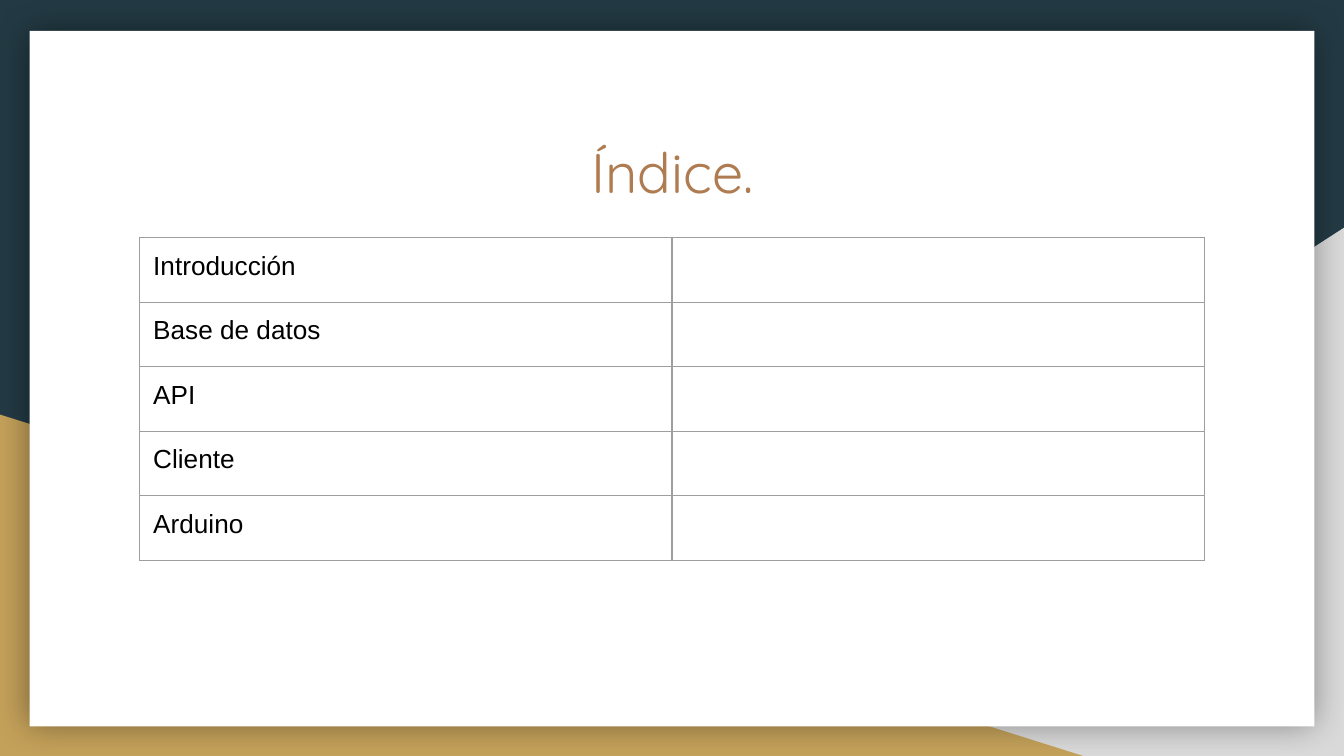
from lxml import etree
from pptx import Presentation
from pptx import util as u
from pptx.dml.color import RGBColor
from pptx.enum import shapes, text
from pptx.oxml import ns

NAVY = RGBColor(0x23, 0x3A, 0x44)
GREY = RGBColor(0xD9, 0xD9, 0xD9)
GOLD = RGBColor(0xC4, 0xA1, 0x5A)
WHITE = RGBColor(0xFF, 0xFF, 0xFF)
COPPER = RGBColor(0xAF, 0x7B, 0x51)
BLACK = RGBColor(0x00, 0x00, 0x00)
BORDER = RGBColor(0x9E, 0x9E, 0x9E)

# Widescreen page, 16:9
WIDTH = 10
HEIGHT = WIDTH * 9 / 16
TOPICS = ["Introducción", "Base de datos", "API", "Cliente", "Arduino"]


def add_child(parent, tag, **attributes):
    child = etree.SubElement(parent, ns.qn(tag))
    for name, value in attributes.items():
        child.set(name, str(value))
    return child


def add_block(page, kind, box, color):
    block = page.shapes.add_shape(kind, *map(u.Inches, box))
    block.shadow.inherit = False
    block.fill.solid()
    block.fill.fore_color.rgb = color
    block.line.fill.background()
    return block


def add_span(para, words, font, size, color):
    span = para.add_run()
    span.text = words
    span.font.name = font
    span.font.size = u.Pt(size)
    span.font.color.rgb = color


def add_backdrop(page, box):
    left, top, width, height = box
    right, bottom = left + width, top + height
    page.background.fill.solid()
    page.background.fill.fore_color.rgb = NAVY

    # Corner triangles
    triangle = shapes.MSO_SHAPE.RIGHT_TRIANGLE
    grey = add_block(page, triangle, (right - 6.08, bottom - 3.93, 6.08, 3.93), GREY)
    grey.element.spPr.find(ns.qn("a:xfrm")).set("flipH", "1")
    add_block(page, triangle, (left, bottom - 2.54, 8.06, 2.54), GOLD)

    # White card with a soft shadow
    card_box = (left + 0.22, top + 0.23, width - 0.44, height - 0.45)
    card = add_block(page, shapes.MSO_SHAPE.RECTANGLE, card_box, WHITE)
    effects = card.element.spPr.find(ns.qn("a:effectLst"))
    shadow = add_child(effects, "a:outerShdw", blurRad=u.Pt(18), dist=0, dir=0,
                       algn="ctr", rotWithShape=0)
    color = add_child(shadow, "a:srgbClr", val=BLACK)
    add_child(color, "a:alpha", val=40000)


def add_title(page, box):
    title = page.shapes.add_textbox(*map(u.Inches, box))
    frame = title.text_frame
    frame.word_wrap = True
    frame.margin_left = frame.margin_right = u.Inches(0.1)
    frame.margin_top = frame.margin_bottom = u.Inches(0.1)
    para = frame.paragraphs[0]
    para.alignment = text.PP_ALIGN.CENTER
    add_span(para, "Índice.", "Quicksand", 30, COPPER)


def style_cell(cell):
    cell.margin_left = cell.margin_right = u.Inches(0.1)
    cell.margin_top = cell.margin_bottom = u.Inches(0.1)
    # Borders come before the fill in the cell properties
    properties = cell._tc.get_or_add_tcPr()
    for side in ("a:lnL", "a:lnR", "a:lnT", "a:lnB"):
        line = add_child(properties, side, w=u.Pt(0.75))
        add_child(add_child(line, "a:solidFill"), "a:srgbClr", val=BORDER)
    cell.fill.background()


def add_index(page, box):
    frame = page.shapes.add_table(len(TOPICS), 2, *map(u.Inches, box))
    table = frame.table
    table.first_row = table.horz_banding = False
    for row, topic in zip(table.rows, TOPICS):
        topic_cell, empty_cell = row.cells
        style_cell(topic_cell)
        style_cell(empty_cell)
        add_span(topic_cell.text_frame.paragraphs[0], topic, "Arial", 14, BLACK)
        # Keeps the empty cell from stretching its row
        add_child(empty_cell.text_frame.paragraphs[0]._p, "a:endParaRPr", sz=1400)


def main():
    deck = Presentation()
    deck.slide_width, deck.slide_height = u.Inches(WIDTH), u.Inches(HEIGHT)
    page = deck.slides.add_slide(deck.slide_layouts[6])
    add_backdrop(page, (0, 0, WIDTH, HEIGHT))
    add_title(page, (0.9, 0.92, 8.21, 1.04))
    add_index(page, (1.04, 1.77, 7.92, 2.4))
    deck.save("out.pptx")


if __name__ == "__main__":
    main()
